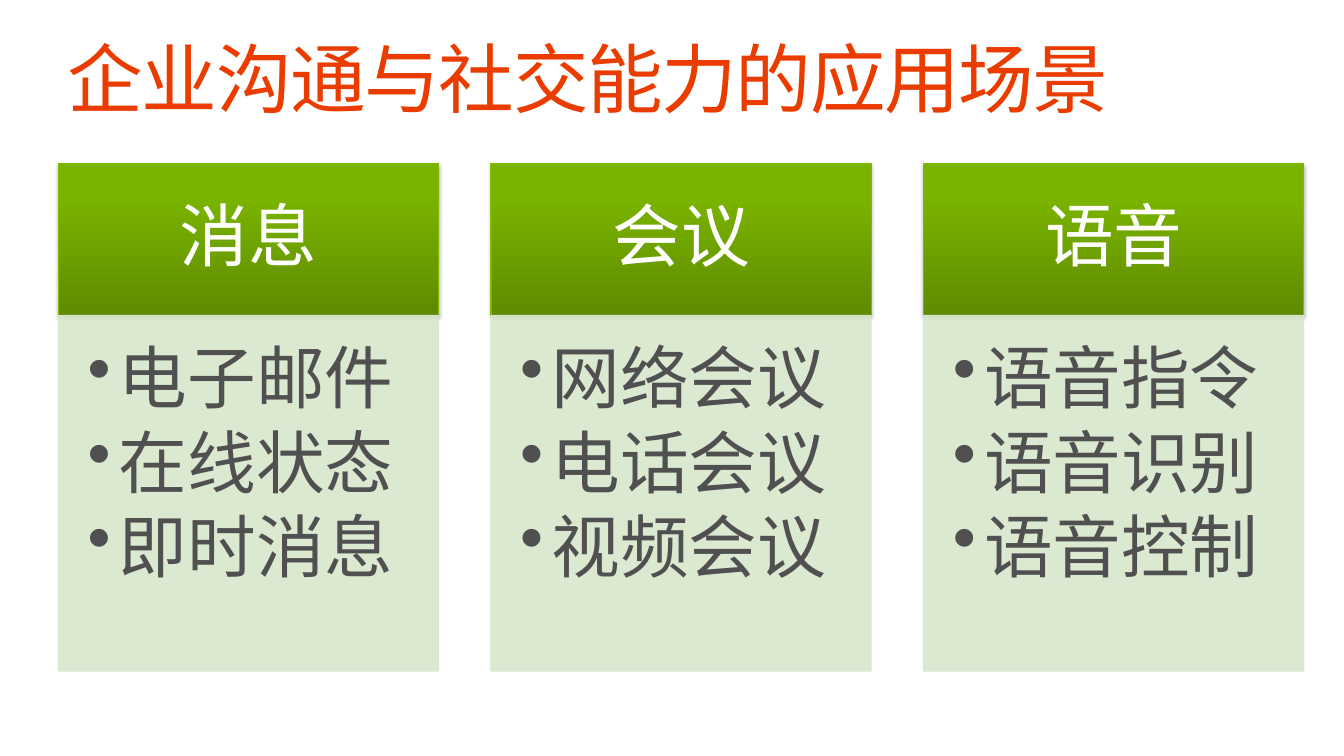
import pptx
import pptx.dml.color
import pptx.enum.shapes
import pptx.enum.text
import pptx.oxml
import pptx.oxml.ns
import pptx.util
from pptx.util import Inches

NAMESPACE = pptx.oxml.ns.nsdecls("a")
COLUMNS = [
    ("消息", ["电子邮件", "在线状态", "即时消息"]),
    ("会议", ["网络会议", "电话会议", "视频会议"]),
    ("语音", ["语音指令", "语音识别", "语音控制"]),
]
STOPS = [(0, "5F8B00"), (80, "7BB400"), (100, "7CB500")]


def rgb(value):
    """Turn a hex string into a colour."""
    return pptx.dml.color.RGBColor.from_string(value)


def xml(markup):
    """Parse one DrawingML element whose root has a {ns} slot."""
    return pptx.oxml.parse_xml(markup.replace("{ns}", NAMESPACE))


def style_paragraph(para, size, font, color):
    """Format the runs of a paragraph for Latin and East Asian text."""
    para.line_spacing = 0.9
    for span in para.runs:
        span.font.size = pptx.util.Pt(size)
        span.font.name = font
        span.font.color.rgb = rgb(color)
        latin = span.font._element.find(pptx.oxml.ns.qn("a:latin"))
        latin.addnext(xml(f'<a:ea {{ns}} typeface="{font}"/>'))


def set_margins(frame, left, top, right, bottom):
    """Set the four text insets in inches."""
    frame.margin_left, frame.margin_top = Inches(left), Inches(top)
    frame.margin_right, frame.margin_bottom = Inches(right), Inches(bottom)


def add_panel(page, left, top, width, height, line_color):
    """Add a thinly outlined rectangle without shadow."""
    box = page.shapes.add_shape(
        pptx.enum.shapes.MSO_SHAPE.RECTANGLE,
        Inches(left), Inches(top), Inches(width), Inches(height))
    box.shadow.inherit = False
    box.line.color.rgb = rgb(line_color)
    box.line.width = pptx.util.Pt(0.75)
    box.text_frame.word_wrap = True
    return box


def add_title(page, left, top, width, height, text):
    """Place and format the title placeholder."""
    title = page.shapes.title
    title.left, title.top = Inches(left), Inches(top)
    title.width, title.height = Inches(width), Inches(height)
    frame = title.text_frame
    frame.text = text
    frame.word_wrap = True
    frame.auto_size = pptx.enum.text.MSO_AUTO_SIZE.NONE
    frame.vertical_anchor = pptx.enum.text.MSO_ANCHOR.MIDDLE
    para = frame.paragraphs[0]
    para.alignment = pptx.enum.text.PP_ALIGN.LEFT
    style_paragraph(para, 54, "Noto Sans CJK SC", "EB3C00")
    para.runs[0].font._element.set("spc", "-100")


def add_header(page, left, top, width, height, text):
    """Add the shaded green heading of a column."""
    box = add_panel(page, left, top, width, height, "7FBA00")
    stops = "".join(
        f'<a:gs pos="{position * 1000}"><a:srgbClr val="{color}"/></a:gs>'
        for position, color in STOPS)
    properties = box._element.spPr
    properties.find(pptx.oxml.ns.qn("a:prstGeom")).addnext(xml(
        f'<a:gradFill {{ns}} rotWithShape="1"><a:gsLst>{stops}</a:gsLst>'
        '<a:lin ang="16200000" scaled="0"/></a:gradFill>'))
    properties.find(pptx.oxml.ns.qn("a:effectLst")).append(xml(
        '<a:outerShdw {ns} blurRad="39370" dist="22860" dir="5400000" '
        'rotWithShape="0"><a:srgbClr val="000000"><a:alpha val="35000"/>'
        '</a:srgbClr></a:outerShdw>'))
    frame = box.text_frame
    frame.text = text
    frame.vertical_anchor = pptx.enum.text.MSO_ANCHOR.MIDDLE
    set_margins(frame, 0.38, 0.22, 0.38, 0.22)
    para = frame.paragraphs[0]
    para.alignment = pptx.enum.text.PP_ALIGN.CENTER
    style_paragraph(para, 49, "Lato", "FFFFFF")


def add_list(page, left, top, width, height, items):
    """Add the pale bulleted panel of a column."""
    box = add_panel(page, left, top, width, height, "D8E7CC")
    box.fill.solid()
    box.fill.fore_color.rgb = rgb("D8E7CC")
    for color in box._element.spPr.iter(pptx.oxml.ns.qn("a:srgbClr")):
        color.append(xml('<a:alpha {ns} val="90000"/>'))
    frame = box.text_frame
    frame.text = "\n".join(items)
    frame.vertical_anchor = pptx.enum.text.MSO_ANCHOR.TOP
    set_margins(frame, 0.29, 0.29, 0.38, 0.43)
    for para in frame.paragraphs:
        properties = para._p.get_or_add_pPr()
        properties.set("marL", str(Inches(0.31)))
        properties.set("indent", str(-Inches(0.31)))
        properties.append(xml('<a:buChar {ns} char="•"/>'))
        para.alignment = pptx.enum.text.PP_ALIGN.LEFT
        para.space_after = pptx.util.Pt(7.35)
        style_paragraph(para, 49, "Lato", "505050")


def add_column(page, left, top, width, height, heading, items):
    """Stack a heading on its list."""
    header_height = 1.51
    add_header(page, left, top, width, header_height, heading)
    add_list(page, left, top + header_height, width, height - header_height, items)


def main():
    """Build and save the slide."""
    deck = pptx.Presentation()
    deck.slide_width, deck.slide_height = Inches(13.33), Inches(7.5)
    page = deck.slides.add_slide(deck.slide_layouts[5])
    add_title(page, 0.57, 0.4, 12.26, 0.85, "企业沟通与社交能力的应用场景")
    for index, (heading, items) in enumerate(COLUMNS):
        add_column(page, 0.58 + index * 4.29, 1.62, 3.77, 5.04, heading, items)
    deck.save("out.pptx")


if __name__ == "__main__":
    main()
